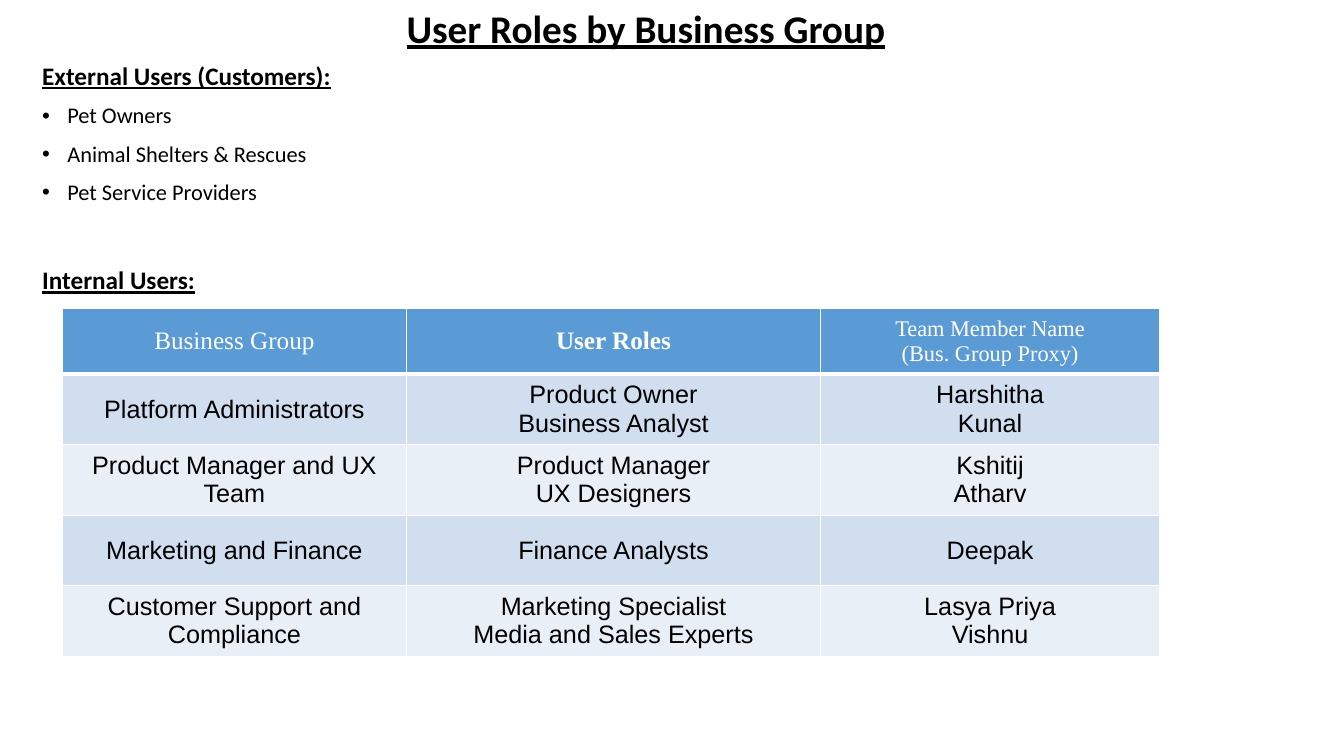
from pptx import Presentation
from pptx.dml.color import RGBColor as RGB
from pptx.enum.text import MSO_ANCHOR as Anchor, PP_ALIGN as Align
from pptx.oxml import parse_xml
from pptx.oxml.ns import nsdecls
from pptx.util import Inches, Pt

BLACK, WHITE, BLUE = "000000", "FFFFFF", "5B9BD5"
BANDS = ["D0DEEF", "E9EFF7"]


def style(font, name, size, color, bold=False, line=False):
    font.name, font.size = name, Pt(size)
    font.bold, font.underline = bold, line
    font.color.rgb = RGB.from_string(color)


def edge(cell, side, width):
    """Give one side of a cell a white border; call before the fill is set."""
    cell._tc.get_or_add_tcPr().append(parse_xml(
        f'<a:{side} {nsdecls("a")} w="{Pt(width)}"><a:solidFill>'
        f'<a:srgbClr val="{WHITE}"/></a:solidFill></a:{side}>'))


deck = Presentation()
deck.slide_width, deck.slide_height = Inches(13.33), Inches(7.5)
slide = deck.slides.add_slide(deck.slide_layouts[6])
shapes = slide.shapes

# Title
box = shapes.add_textbox(Inches(2.78), Inches(0.06), Inches(7.25), Inches(0.49))
frame = box.text_frame
frame.word_wrap = True
frame.vertical_anchor = Anchor.MIDDLE
title = frame.paragraphs[0]
title.text = "User Roles by Business Group"
title.alignment, title.line_spacing = Align.CENTER, 0.9
style(title.font, "Calibri", 28, BLACK, True, True)

# User lists: text, is a heading, space before
lines = [
    ("External Users (Customers):", True, 0),
    ("Pet Owners", False, 10),
    ("Animal Shelters & Rescues", False, 10),
    ("Pet Service Providers", False, 10),
    ("Internal Users:", True, 45),
]
box = shapes.add_textbox(Inches(0.32), Inches(0.58), Inches(12.49), Inches(6.11))
frame = box.text_frame
frame.word_wrap = True
for i, (text, head, gap) in enumerate(lines):
    par = frame.add_paragraph() if i else frame.paragraphs[0]
    par.text = text
    par.line_spacing, par.space_before = 0.9, Pt(gap)
    style(par.font, "Calibri", 18 if head else 16, BLACK, head, head)
    if not head:
        props = par._p.get_or_add_pPr()
        props.set("marL", str(Inches(0.25)))
        props.set("indent", str(Inches(-0.25)))
        for tag in ('buFont typeface="Arial"', 'buChar char="•"'):
            props.insert_element_before(
                parse_xml(f'<a:{tag} {nsdecls("a")}/>'), "a:tabLst", "a:defRPr")

# Table of roles
rows = [
    ("Business Group", "User Roles", "Team Member Name\n(Bus. Group Proxy)"),
    ("Platform Administrators", "Product Owner\vBusiness Analyst",
     "Harshitha\vKunal"),
    ("Product Manager and UX Team", "Product Manager\vUX Designers",
     "Kshitij\vAtharv"),
    ("Marketing and Finance", "Finance Analysts", "Deepak"),
    ("Customer Support and Compliance",
     "Marketing Specialist\vMedia and Sales Experts", "Lasya Priya\vVishnu"),
]
widths = [3.41, 4.11, 3.36]
heights = [0.65, 0.47, 0.6, 0.7, 0.61]
grid = shapes.add_table(len(rows), len(widths), Inches(0.62), Inches(3.06),
                        Inches(10.88), Inches(3.45))
table = grid.table
for col, width in zip(table.columns, widths):
    col.width = Inches(width)
for row, height in zip(table.rows, heights):
    row.height = Inches(height)
grid.height = Inches(3.45)

for r, row in enumerate(rows):
    for c, text in enumerate(row):
        cell = table.cell(r, c)
        cell.text = text
        cell.vertical_anchor = Anchor.MIDDLE
        for side in ("lnL", "lnR", "lnT", "lnB"):
            thick = (r, side) in ((0, "lnB"), (1, "lnT"))
            edge(cell, side, 3 if thick else 1)
        cell.fill.solid()
        cell.fill.fore_color.rgb = RGB.from_string(BANDS[(r - 1) % 2] if r else BLUE)
        for par in cell.text_frame.paragraphs:
            par.alignment = Align.CENTER
            if r:
                style(par.font, "Arial", 18, BLACK)
            else:
                style(par.font, "Times New Roman", 16 if c == 2 else 18, WHITE, c == 1)

deck.save("out.pptx")
